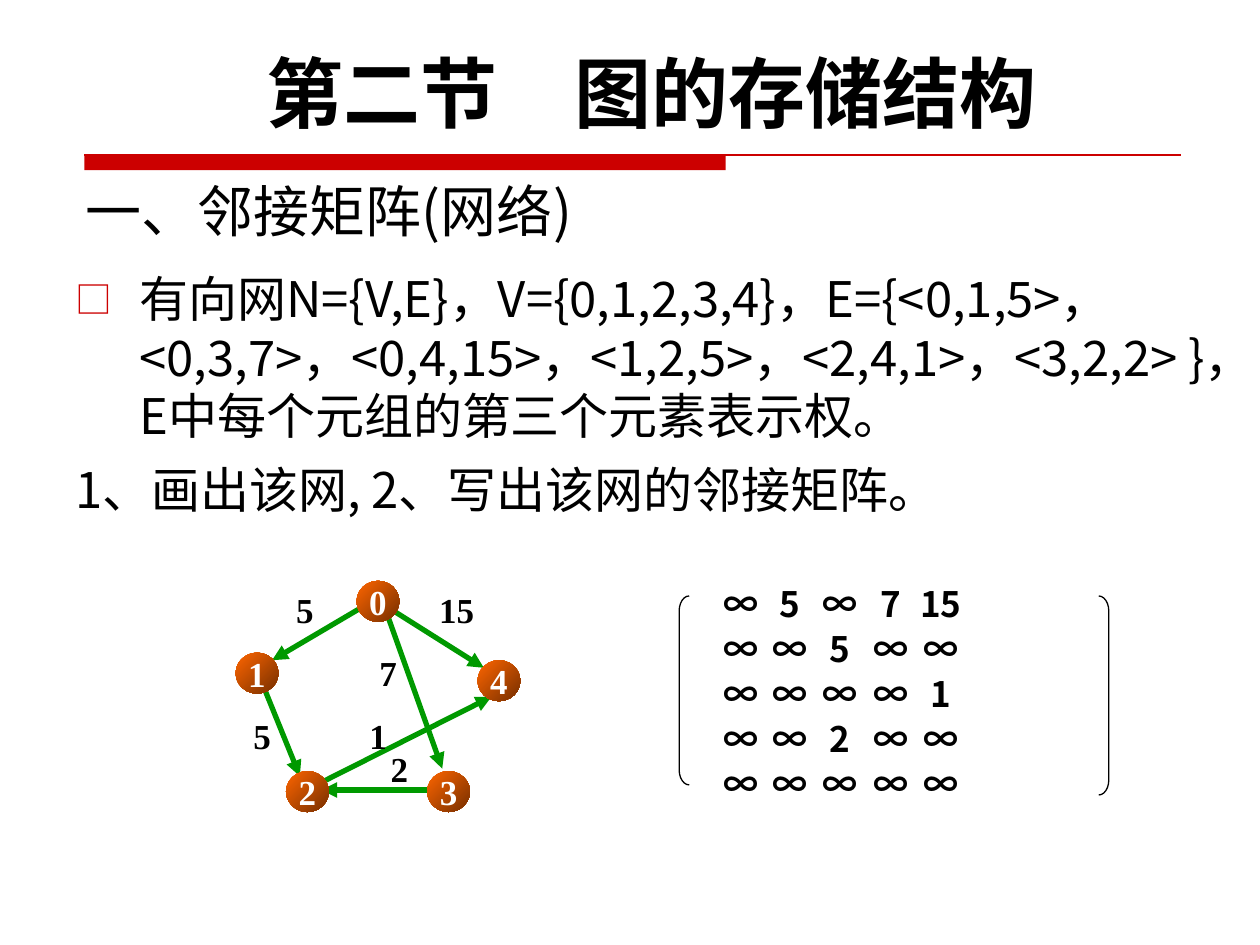
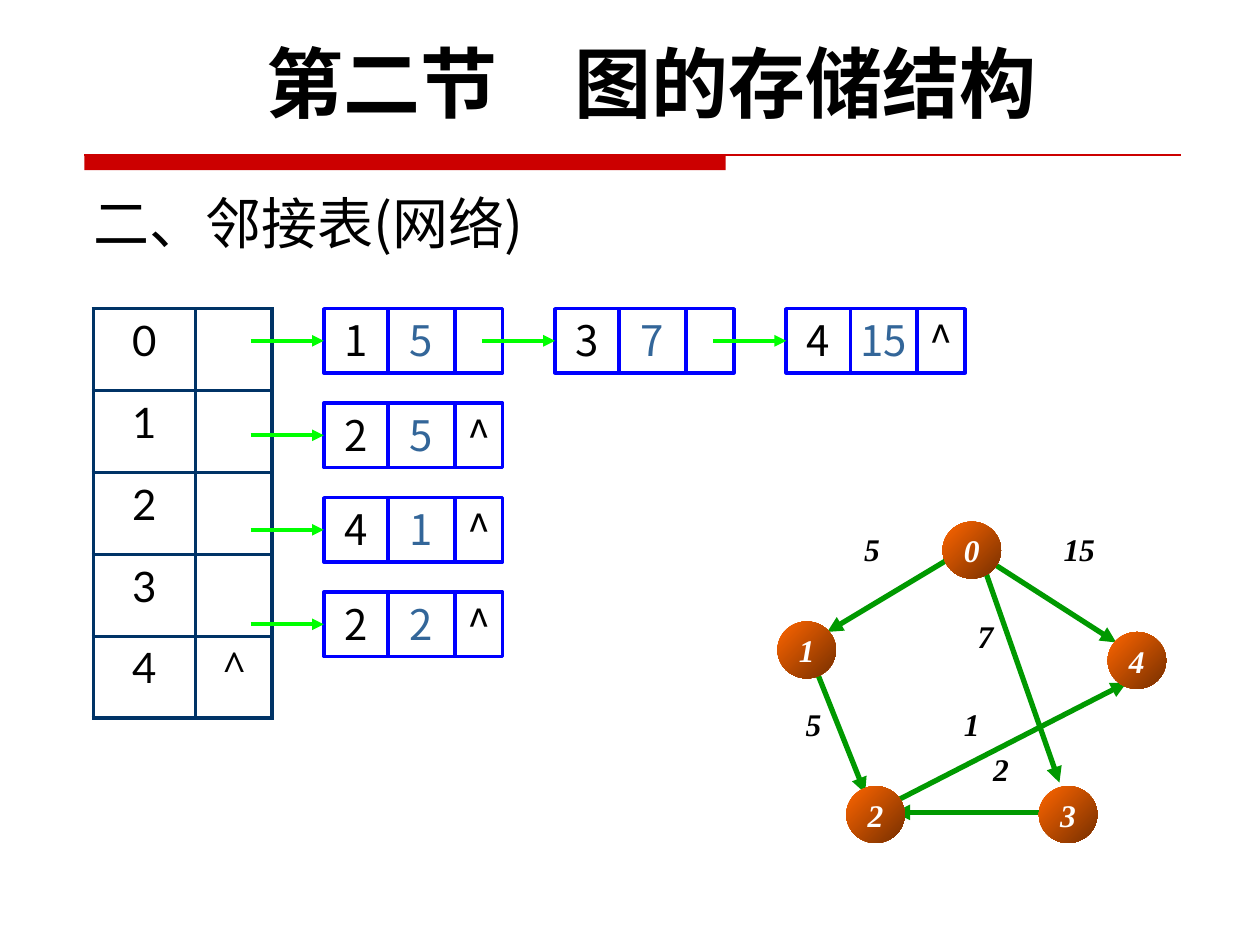
from lxml import etree
from pptx import Presentation
from pptx.dml.color import RGBColor
from pptx.enum.shapes import MSO_CONNECTOR, MSO_SHAPE
from pptx.enum.text import MSO_ANCHOR, PP_ALIGN
from pptx.oxml.ns import qn
from pptx.util import Inches, Pt

STRAIGHT = MSO_CONNECTOR.STRAIGHT
RECT, OVAL = MSO_SHAPE.RECTANGLE, MSO_SHAPE.OVAL
LEFT_BRACKET, RIGHT_BRACKET = MSO_SHAPE.LEFT_BRACKET, MSO_SHAPE.RIGHT_BRACKET
TOP, MIDDLE, BOTTOM = MSO_ANCHOR.TOP, MSO_ANCHOR.MIDDLE, MSO_ANCHOR.BOTTOM
LEFT, CENTER = PP_ALIGN.LEFT, PP_ALIGN.CENTER

BLACK = RGBColor(0x00, 0x00, 0x00)
WHITE = RGBColor(0xFF, 0xFF, 0xFF)
BAND_RED = RGBColor(0xCC, 0x00, 0x00)
EDGE_GREEN = RGBColor(0x00, 0x99, 0x00)
NODE_LIGHT = RGBColor(0xFF, 0x66, 0x00)
NODE_DARK = RGBColor(0x76, 0x2F, 0x00)
HEAD_NAVY = RGBColor(0x00, 0x33, 0x66)
CELL_BLUE = RGBColor(0x00, 0x00, 0xFF)
WEIGHT_BLUE = RGBColor(0x33, 0x66, 0x99)
LINK_GREEN = RGBColor(0x00, 0xFF, 0x00)

SANS, DISPLAY, SERIF = "Noto Sans CJK SC", "Lato", "Times New Roman"

CHAPTER = "第二节\u3000图的存储结构".replace("\u3000", "　")
MATRIX_HEADING = "一、邻接矩阵(网络)"
LIST_HEADING = "二、邻接表(网络)"
DEFINITION = ("有向网N={V,E}，V={0,1,2,3,4}，E={<0,1,5>，<0,3,7>，<0,4,15>，"
              "<1,2,5>，<2,4,1>，<3,2,2> }，E中每个元组的第三个元素表示权。")
TASKS = "1、画出该网, 2、写出该网的邻接矩阵。"

MATRIX = [
    ["∞", "5", "∞", "7", "15"],
    ["∞", "∞", "5", "∞", "∞"],
    ["∞", "∞", "∞", "∞", "1"],
    ["∞", "∞", "2", "∞", "∞"],
    ["∞", "∞", "∞", "∞", "∞"],
]
ADJACENCY = {
    "0": [("1", "5"), ("3", "7"), ("4", "15")],
    "1": [("2", "5")],
    "2": [("4", "1")],
    "3": [("2", "2")],
    "4": [],
}

NODE_W, NODE_H = 0.34, 0.325
NODES = {"1": (0, 0.57), "3": (1.52, 1.51), "2": (0.4, 1.51),
         "4": (1.92, 0.63), "0": (0.96, 0)}
EDGES = [
    ((1.07, 0.17), (0.29, 0.63)),
    ((1.19, 0.23), (1.64, 1.49)),
    ((1.24, 0.23), (1.97, 0.69)),
    ((0.23, 0.86), (0.51, 1.55)),
    ((0.68, 1.6), (2.03, 0.92)),
    ((1.52, 1.66), (0.68, 1.66)),
]
WEIGHTS = [("5", 0.34, 0.01, 0.42), ("5", 0, 1.01, 0.42), ("15", 1.42, 0.01, 0.67),
           ("1", 0.92, 1.01, 0.42), ("7", 1, 0.51, 0.42), ("2", 1.09, 1.27, 0.42)]


def add_run(paragraph, text, font, size, color=BLACK, bold=False, italic=False):
    run = paragraph.add_run()
    run.text = text
    run.font.name, run.font.size = font, Pt(size)
    run.font.bold, run.font.italic = bold, italic
    run.font.color.rgb = color
    latin = run.font._element.find(qn("a:latin"))
    east_asian = etree.Element(qn("a:ea"), typeface=SANS)
    latin.addnext(east_asian)


def text_frame(shape, anchor=TOP, side_inset=0.1, wrap=True):
    frame = shape.text_frame
    frame.word_wrap, frame.vertical_anchor = wrap, anchor
    frame.margin_left = frame.margin_right = Inches(side_inset)
    return frame


def add_text(slide, box, text, font, size, align=LEFT, anchor=TOP, **style):
    frame = text_frame(slide.shapes.add_textbox(*map(Inches, box)), anchor)
    frame.paragraphs[0].alignment = align
    add_run(frame.paragraphs[0], text, font, size, **style)
    return frame


def add_plain_shape(slide, kind, box, color=None, width=0):
    shape = slide.shapes.add_shape(kind, *map(Inches, box))
    shape.shadow.inherit = False
    shape.fill.background()
    if color is None:
        shape.line.fill.background()
    else:
        shape.line.color.rgb, shape.line.width = color, Pt(width)
    return shape


def add_line(slide, start, end, color, width, arrow=True):
    line = slide.shapes.add_connector(STRAIGHT, *map(Inches, (*start, *end)))
    line.line.color.rgb, line.line.width = color, Pt(width)
    if arrow:
        etree.SubElement(line.line._get_or_add_ln(), qn("a:tailEnd"), type="triangle")
    etree.SubElement(line._element.spPr, qn("a:effectLst"))
    return line


def add_page(deck, heading, heading_at, chapter_top):
    slide = deck.slides.add_slide(deck.slide_layouts[6])
    band = add_plain_shape(slide, RECT, (0.67, 1.23, 5.09, 0.12))
    band.fill.solid()
    band.fill.fore_color.rgb = BAND_RED
    add_line(slide, (0.67, 1.23), (9.37, 1.23), BAND_RED, 0.75, arrow=False)
    add_text(slide, (*heading_at, 7.25, 0.75), heading, SANS, 32, anchor=BOTTOM)
    add_text(slide, (0.55, chapter_top, 9.25, 0.84), CHAPTER, DISPLAY, 44, CENTER, bold=True)
    return slide


def add_graph(slide, left, top, scale_x, scale_y, size, italic):
    def place(x, y):
        return left + x * scale_x, top + y * scale_y

    for start, end in EDGES:
        add_line(slide, place(*start), place(*end), EDGE_GREEN, 3)
    for name, corner in NODES.items():
        node = add_plain_shape(slide, OVAL, (*place(*corner), NODE_W * scale_x, NODE_H * scale_y))
        node.fill.gradient()
        node.fill.gradient_angle = 315
        for stop, color in zip(node.fill.gradient_stops, (NODE_LIGHT, NODE_DARK)):
            stop.color.rgb = color
        caption = text_frame(node, MIDDLE, 0, wrap=False).paragraphs[0]
        caption.alignment = CENTER
        add_run(caption, name, SERIF, size, WHITE, True, italic)
    for weight, x, y, width in WEIGHTS:
        add_text(slide, (*place(x, y), width * scale_x, 0.43), weight, SERIF, size, CENTER,
                 bold=True, italic=italic)


def add_definition(slide):
    frame = text_frame(slide.shapes.add_textbox(*map(Inches, (0.5, 2.08, 9.58, 2.2))))
    definition, tasks = frame.paragraphs[0], frame.add_paragraph()
    for paragraph, text in ((definition, DEFINITION), (tasks, TASKS)):
        props = paragraph._p.get_or_add_pPr()
        props.set("marL", str(Inches(0.51)))
        props.set("indent", str(-Inches(0.51)))
        add_run(paragraph, text, SANS, 28)
    props = definition._p.pPr
    color = etree.SubElement(props, qn("a:buClr"))
    etree.SubElement(color, qn("a:srgbClr"), val=str(BAND_RED))
    etree.SubElement(props, qn("a:buSzPct"), val="75000")
    etree.SubElement(props, qn("a:buFont"), typeface=SANS)
    etree.SubElement(props, qn("a:buChar"), char="□")
    tasks.space_before = Pt(8.4)


def add_matrix(slide):
    for kind, left, height in ((LEFT_BRACKET, 5.39, 1.5), (RIGHT_BRACKET, 8.72, 1.58)):
        bracket = add_plain_shape(slide, kind, (left, 4.73, 0.08, height), BLACK, 0.75)
        bracket.adjustments[0] = 1.5
    frame = text_frame(slide.shapes.add_textbox(*map(Inches, (5.64, 4.61, 3, 1.89))))
    for index, row in enumerate(MATRIX):
        line = frame.add_paragraph() if index else frame.paragraphs[0]
        line.line_spacing = 0.9
        if index:
            line.space_before = Pt(4.2)
        tabs = etree.SubElement(line._p.get_or_add_pPr(), qn("a:tabLst"))
        for column in range(1, len(row)):
            etree.SubElement(tabs, qn("a:tab"), pos=str(Inches(0.13 + 0.4 * column)), algn="ctr")
        add_run(line, "\t".join(row), SANS, 20, bold=True)


def add_heads(slide, left, top):
    widths, height = (0.81, 0.61), 0.65
    table = slide.shapes.add_table(len(ADJACENCY), 2, Inches(left), Inches(top),
                                   Inches(sum(widths)), Inches(height * len(ADJACENCY))).table
    table.first_row = table.horz_banding = False
    for column, width in zip(table.columns, widths):
        column.width = Inches(width)
    for row, (vertex, chain) in enumerate(ADJACENCY.items()):
        table.rows[row].height = Inches(height)
        for cell in table.rows[row].cells:
            cell.fill.background()
            props = cell._tc.get_or_add_tcPr()
            for position, side in enumerate(("lnL", "lnR", "lnT", "lnB")):
                border = etree.Element(qn("a:" + side), w=str(Pt(2.25)))
                paint = etree.SubElement(border, qn("a:solidFill"))
                etree.SubElement(paint, qn("a:srgbClr"), val=str(HEAD_NAVY))
                props.insert(position, border)
            cell.text_frame.paragraphs[0].alignment = CENTER
        add_run(table.cell(row, 0).text_frame.paragraphs[0], vertex, DISPLAY, 24)
        if not chain:
            add_run(table.cell(row, 1).text_frame.paragraphs[0], "^", SERIF, 24,
                    bold=True, italic=True)


def add_chains(slide, left, top):
    pitch_x, pitch_y, height, reach = 1.835, 0.75, 0.51, 0.58
    widths, colors = (0.51, 0.53, 0.38), (BLACK, WEIGHT_BLUE, BLACK)
    for row, chain in enumerate(ADJACENCY.values()):
        y = top + row * pitch_y
        for index, (vertex, weight) in enumerate(chain):
            start = x = left + index * pitch_x
            pointer = "^" if index == len(chain) - 1 else ""
            fields = []
            for text, width, color in zip((vertex, weight, pointer), widths, colors):
                field = add_plain_shape(slide, RECT, (x, y, width, height), CELL_BLUE, 2)
                if text:
                    caption = text_frame(field, TOP, 0).paragraphs[0]
                    caption.alignment = CENTER
                    add_run(caption, text, SANS, 24, color)
                fields.append(field)
                x += width
            middle = y + height / 2
            link = add_line(slide, (start - reach, middle), (start, middle), LINK_GREEN, 2.25)
            link.end_connect(fields[0], 1)


def main():
    deck = Presentation()
    deck.slide_width, deck.slide_height = Inches(10), Inches(7.5)

    matrix_page = add_page(deck, MATRIX_HEADING, (0.58, 1.23), 0.31)
    add_definition(matrix_page)
    add_graph(matrix_page, 1.87, 4.61, 1, 1, 20, italic=False)
    add_matrix(matrix_page)

    list_page = add_page(deck, LIST_HEADING, (0.64, 1.33), 0.23)
    add_heads(list_page, 0.74, 2.45)
    add_graph(list_page, 6.17, 4.14, 1.365, 1.39, 18, italic=True)
    add_chains(list_page, 2.57, 2.45)

    deck.save("out.pptx")


if __name__ == "__main__":
    main()
